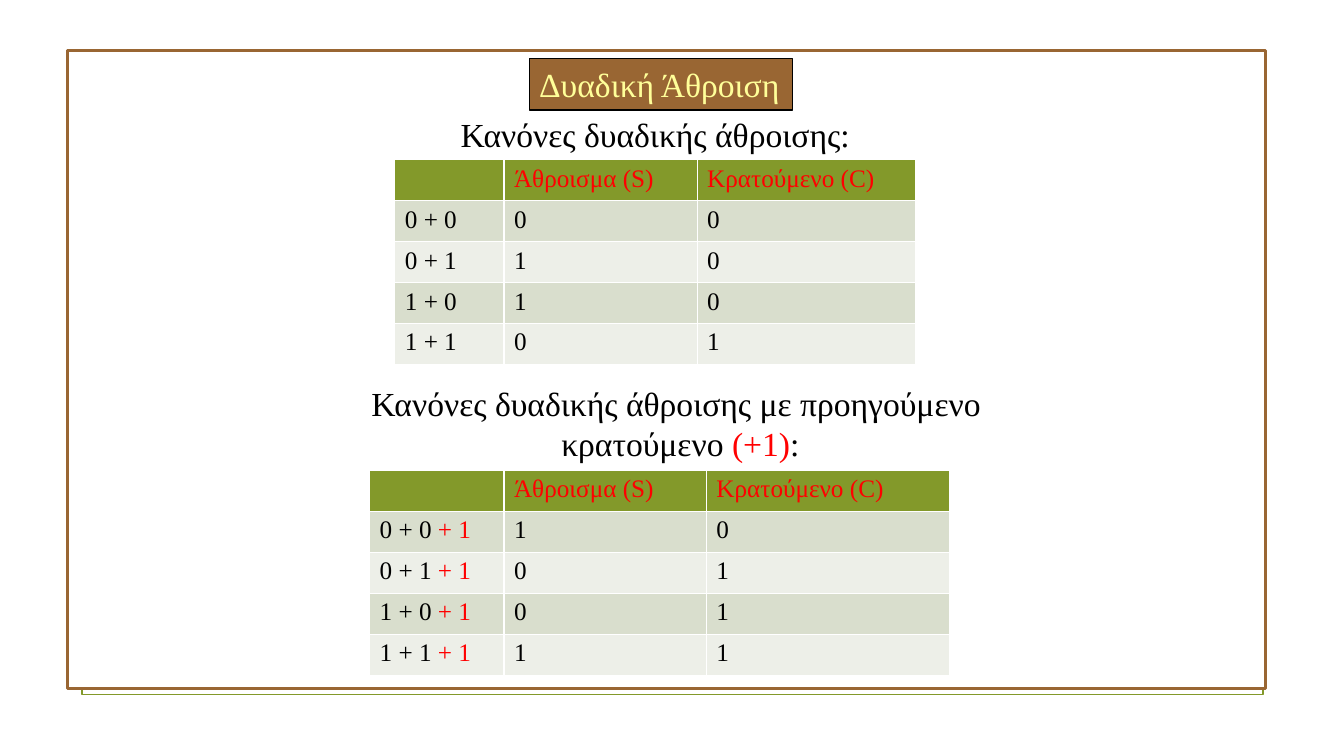
"""Build a slide with two tables of binary addition rules."""
from pptx import Presentation
from pptx.dml.color import RGBColor
from pptx.enum.shapes import MSO_SHAPE
from pptx.enum.text import MSO_AUTO_SIZE, PP_ALIGN
from pptx.util import Inches, Pt

FACE = "Times New Roman"
RED, BLACK, WHITE = "FF0000", "000000", "FFFFFF"
GREEN, BROWN, CREAM = "83992A", "996633", "FFFF99"
BANDS = ["EDEFE8", "D9DECD"]
CARRY = ["+ 1", "(+1)"]
ROW = 4.88

deck = Presentation()
deck.slide_width, deck.slide_height = Inches(13.333), Inches(7.5)
UNIT = deck.slide_height / 90
slide = deck.slides.add_slide(deck.slide_layouts[6])
shapes = slide.shapes
tint = RGBColor.from_string


def grid(*cells):
    """Turn grid cells into lengths."""
    return [round(n * UNIT) for n in cells]


def write(para, size, hue, text, *tail):
    """Fill a paragraph and set its font, with the carry in red."""
    para.text = text
    for part in tail:
        para.add_run().text = part
    for run in para.runs:
        run.font.name, run.font.size, run.font.bold = FACE, Pt(size), False
        run.font.color.rgb = tint(RED if run.text in CARRY else hue)


panels = [
    ((9.75, 7.1, 140.6, 75.6), WHITE, GREEN, 1.25),
    ((8, 6, 142.7, 76), WHITE, BROWN, 2.25),
    ((63, 7, 31.3, 6.1), BROWN, BLACK, 0.75),
]
for place, fill, edge, width in panels:
    panel = shapes.add_shape(MSO_SHAPE.RECTANGLE, *grid(*place))
    panel.shadow.inherit = False
    panel.fill.solid()
    panel.fill.fore_color.rgb = tint(fill)
    panel.line.color.rgb = tint(edge)
    panel.line.width = Pt(width)

title = panel.text_frame
title.word_wrap = False
title.auto_size = MSO_AUTO_SIZE.SHAPE_TO_FIT_TEXT
write(title.paragraphs[0], 24, CREAM, "Δυαδική Άθροιση")
title.paragraphs[0].alignment = PP_ALIGN.LEFT

heads = [
    ((28, 13, 100, 6), ["Κανόνες δυαδικής άθροισης:"]),
    ((29, 45, 104, 10.9),
     ["Κανόνες δυαδικής άθροισης με προηγούμενο \vκρατούμενο ", "(+1)", ":"]),
]
for place, parts in heads:
    frame = shapes.add_textbox(*grid(*place)).text_frame
    frame.word_wrap = True
    frame.auto_size = MSO_AUTO_SIZE.SHAPE_TO_FIT_TEXT
    write(frame.paragraphs[0], 24, BLACK, *parts)
    frame.paragraphs[0].alignment = PP_ALIGN.CENTER

pairs = [(a, b) for a in (0, 1) for b in (0, 1)]
tables = [(47, 19, (13, 23, 26), 0), (44, 56, (16, 24.1, 28.9), 1)]
for left, top, widths, carry in tables:
    rows = [[[""], ["Άθροισμα (S)"], ["Κρατούμενο (C)"]]]
    for a, b in pairs:
        total = a + b + carry
        term = [f"{a} + {b} ", "+ 1"] if carry else [f"{a} + {b}"]
        rows.append([term, [str(total % 2)], [str(total // 2)]])
    place = grid(left, top, sum(widths), ROW * len(rows))
    table = shapes.add_table(len(rows), len(widths), *place).table
    for col, width in zip(table.columns, grid(*widths)):
        col.width = width
    for r, row in enumerate(rows):
        for c, parts in enumerate(row):
            cell = table.cell(r, c)
            cell.fill.solid()
            cell.fill.fore_color.rgb = tint(BANDS[r % 2] if r else GREEN)
            write(cell.text_frame.paragraphs[0], 18, BLACK if r else RED, *parts)

deck.save("out.pptx")
